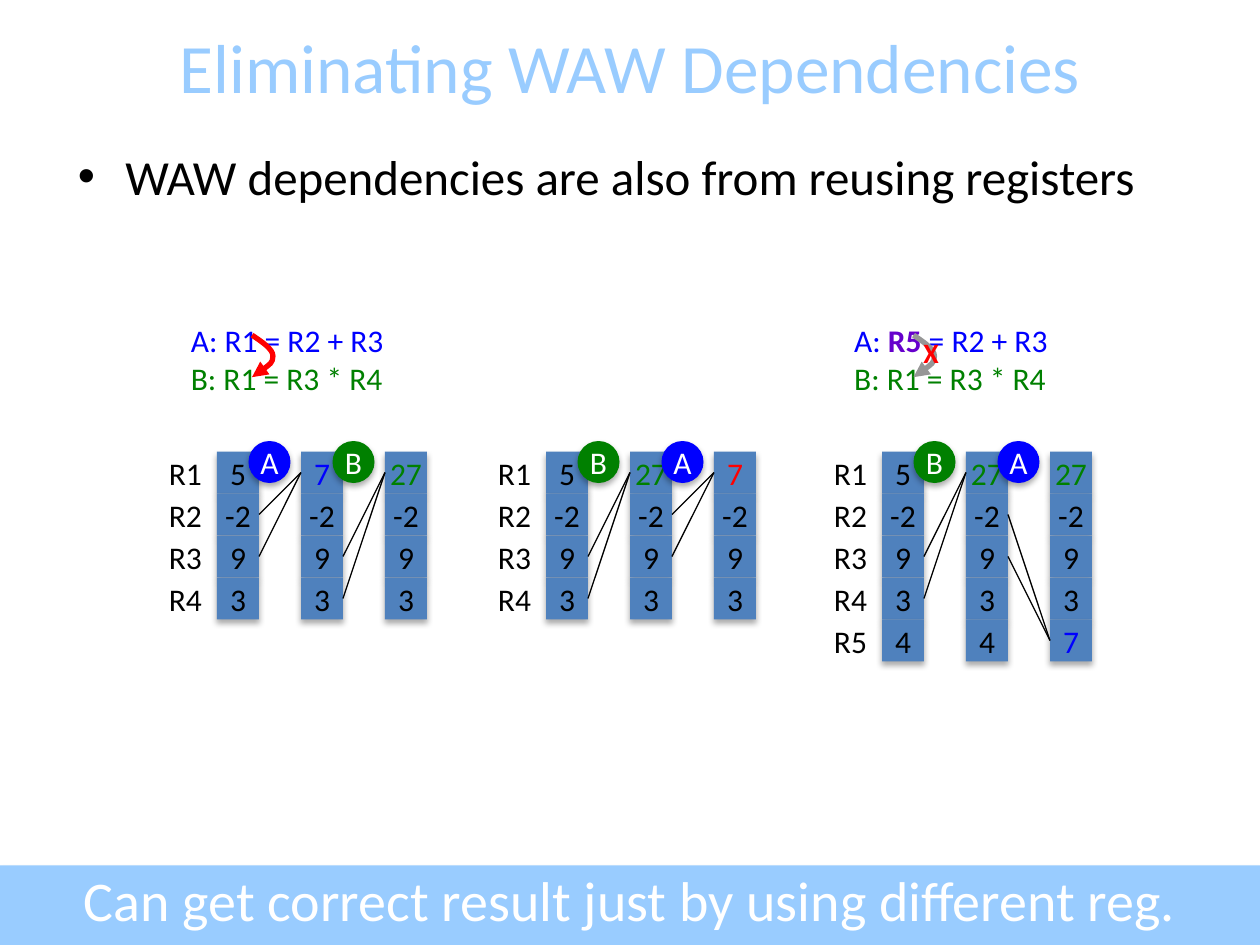
from lxml import etree
from pptx import Presentation
from pptx import util as u
from pptx.dml.color import RGBColor
from pptx.enum import shapes, text
from pptx.oxml import ns

Pt = u.Pt
COLORS = {
    "black": "000000", "white": "FFFFFF", "sky": "99CCFF", "cell": "4F81BD",
    "blue": "0000FF", "green": "008000", "red": "FF0000", "purple": "6600CC",
    "gray": "969696",
}
OPERATION_COLORS = {"A": "blue", "B": "green"}
CELL = 24
STEP = 2 * CELL
LABEL = 36
KEPT = {"R2": "-2 -2 -2", "R3": "9 9 9", "R4": "3 3 3"}


def rgb(name):
    return RGBColor.from_string(COLORS[name])


def add_element(parent, tag, **attributes):
    return etree.SubElement(parent, ns.qn(tag), attributes)


def write(para, words, size=18, color="black", bold=False, align=None):
    if align is not None:
        para.alignment = align
    span = para.add_run()
    span.text = words
    span.font.name = "Calibri"
    span.font.size = Pt(size)
    span.font.bold = bold
    span.font.color.rgb = rgb(color)


def center(shape, words, **style):
    frame = shape.text_frame
    frame.word_wrap = False
    frame.vertical_anchor = text.MSO_ANCHOR.MIDDLE
    write(frame.paragraphs[0], words, align=text.PP_ALIGN.CENTER, **style)


def add_box(parent, left, top, width, height):
    return parent.shapes.add_textbox(Pt(left), Pt(top), Pt(width), Pt(height))


def add_solid(parent, kind, left, top, width, height, color,
              blur=3.5, distance=2.2, opacity=32):
    shape = parent.shapes.add_shape(kind, Pt(left), Pt(top), Pt(width), Pt(height))
    shape.fill.solid()
    shape.fill.fore_color.rgb = rgb(color)
    shape.line.fill.background()
    shape.shadow.inherit = False
    effects = shape._element.spPr.find(ns.qn("a:effectLst"))
    shadow = add_element(effects, "a:outerShdw", blurRad=str(Pt(blur)),
                         dist=str(Pt(distance)), dir="5400000", rotWithShape="0")
    tint = add_element(shadow, "a:srgbClr", val=COLORS["black"])
    add_element(tint, "a:alpha", val=str(opacity * 1000))
    return shape


def add_link(parent, start, end):
    link = parent.shapes.add_connector(
        shapes.MSO_CONNECTOR.STRAIGHT, *[Pt(value) for value in (*start, *end)])
    link.line.color.rgb = rgb("black")
    link.line.width = Pt(0.75)
    add_element(link._element.spPr, "a:effectLst")


def add_title(page, left, top, width, height):
    title = page.shapes.title
    title.left, title.top = Pt(left), Pt(top)
    title.width, title.height = Pt(width), Pt(height)
    title.text_frame.auto_size = text.MSO_AUTO_SIZE.NONE
    center(title, "Eliminating WAW Dependencies", size=39.6, color="sky")


def add_body(page, left, top, width, height):
    frame = add_box(page, left, top, width, height).text_frame
    frame.word_wrap = True
    para = frame.paragraphs[0]
    properties = para._p.get_or_add_pPr()
    properties.set("marL", str(Pt(27)))
    properties.set("indent", str(Pt(-27)))
    add_element(properties, "a:buFont", typeface="Arial")
    add_element(properties, "a:buChar", char="•")
    write(para, "WAW dependencies are also from reusing registers", size=28)


def add_banner(page, left, top, width, height):
    add_solid(page, shapes.MSO_SHAPE.RECTANGLE, left, top, width, height, "sky",
              blur=3.1, distance=1.8, opacity=35)
    frame = add_box(page, left, top - 3.6, width, height).text_frame
    frame.word_wrap = True
    write(frame.paragraphs[0], "Can get correct result just by using different reg.",
          size=32, color="white", align=text.PP_ALIGN.CENTER)


def add_hook(parent, left, top, color):
    points = [(6, 4), (12, 8), (12, 12), (12, 16), (6, 20), (0, 24)]
    builder = parent.shapes.build_freeform(Pt(left), Pt(top))
    builder.add_line_segments(
        [(Pt(left + x), Pt(top + y)) for x, y in points], close=False)
    hook = builder.convert_to_shape()
    corners = list(hook._element.iter(ns.qn("a:lnTo")))
    for first in range(0, len(corners), 3):
        outline = corners[first].getparent()
        curve = add_element(outline, "a:cubicBezTo")
        for corner in corners[first:first + 3]:
            curve.append(corner[0])
            outline.remove(corner)
    hook.fill.background()
    hook.shadow.inherit = False
    hook.line.color.rgb = rgb(color)
    hook.line.width = Pt(3)
    add_element(hook.line._get_or_add_ln(), "a:tailEnd", type="triangle")


def add_code(parent, left, top, width, first_line, hook_left, hook_color):
    frame = add_box(parent, left, top, width, 51).text_frame
    frame.word_wrap = False
    for words, color, bold in first_line:
        write(frame.paragraphs[0], words, color=color, bold=bold)
    write(frame.add_paragraph(), "B: R1 = R3 * R4", color="green")
    add_hook(parent, hook_left, top + 11.5, hook_color)


def add_trace(page, left, top, registers, steps, highlights):
    group = page.shapes.add_group_shape()
    first_column = left + LABEL

    def middle(row):
        return top + (row + 0.5) * CELL

    for row, (register, values) in enumerate(registers.items()):
        y = top + row * CELL
        center(add_box(group, left, y, LABEL, CELL), register)
        for column, value in enumerate(values.split()):
            cell = add_solid(group, shapes.MSO_SHAPE.RECTANGLE,
                             first_column + column * STEP, y, CELL, CELL, "cell")
            center(cell, value, color=highlights.get((column, row), "black"))
    for column, (operation, sources, target) in enumerate(steps):
        x = first_column + column * STEP
        for source in sources:
            add_link(group, (x + CELL, middle(source)), (x + STEP, middle(target)))
        badge = add_solid(group, shapes.MSO_SHAPE.OVAL, x + 18, top - 6, CELL, CELL,
                          OPERATION_COLORS[operation])
        center(badge, operation, color="white")


def main():
    deck = Presentation()
    deck.slide_width, deck.slide_height = Pt(720), Pt(540)
    page = deck.slides.add_slide(deck.slide_layouts[5])

    add_title(page, 0, 15, 720, 45)
    add_body(page, 37.5, 80, 648, 400)

    add_trace(page, 88, 258, {"R1": "5 7 27", **KEPT},
              [("A", (1, 2), 0), ("B", (2, 3), 0)],
              {(1, 0): "blue", (2, 0): "green"})
    add_trace(page, 276, 258, {"R1": "5 27 7", **KEPT},
              [("B", (2, 3), 0), ("A", (1, 2), 0)],
              {(1, 0): "green", (2, 0): "red"})
    add_trace(page, 468, 258, {"R1": "5 27 27", **KEPT, "R5": "4 4 7"},
              [("B", (2, 3), 0), ("A", (1, 2), 4)],
              {(1, 0): "green", (2, 0): "green", (2, 4): "blue"})

    add_code(page, 102, 180, 135, [("A: R1 = R2 + R3", "blue", False)], 144, "red")
    renamed = page.shapes.add_group_shape()
    add_code(renamed, 481, 180, 137.5,
             [("A: ", "blue", False), ("R5", "purple", True),
              (" = R2 + R3", "blue", False)], 522, "gray")
    center(add_box(renamed, 518.5, 188, 27, 26.5), "X", size=16, color="red", bold=True)

    add_banner(page, 0, 494.5, 720, 45.5)
    deck.save("out.pptx")


if __name__ == "__main__":
    main()
